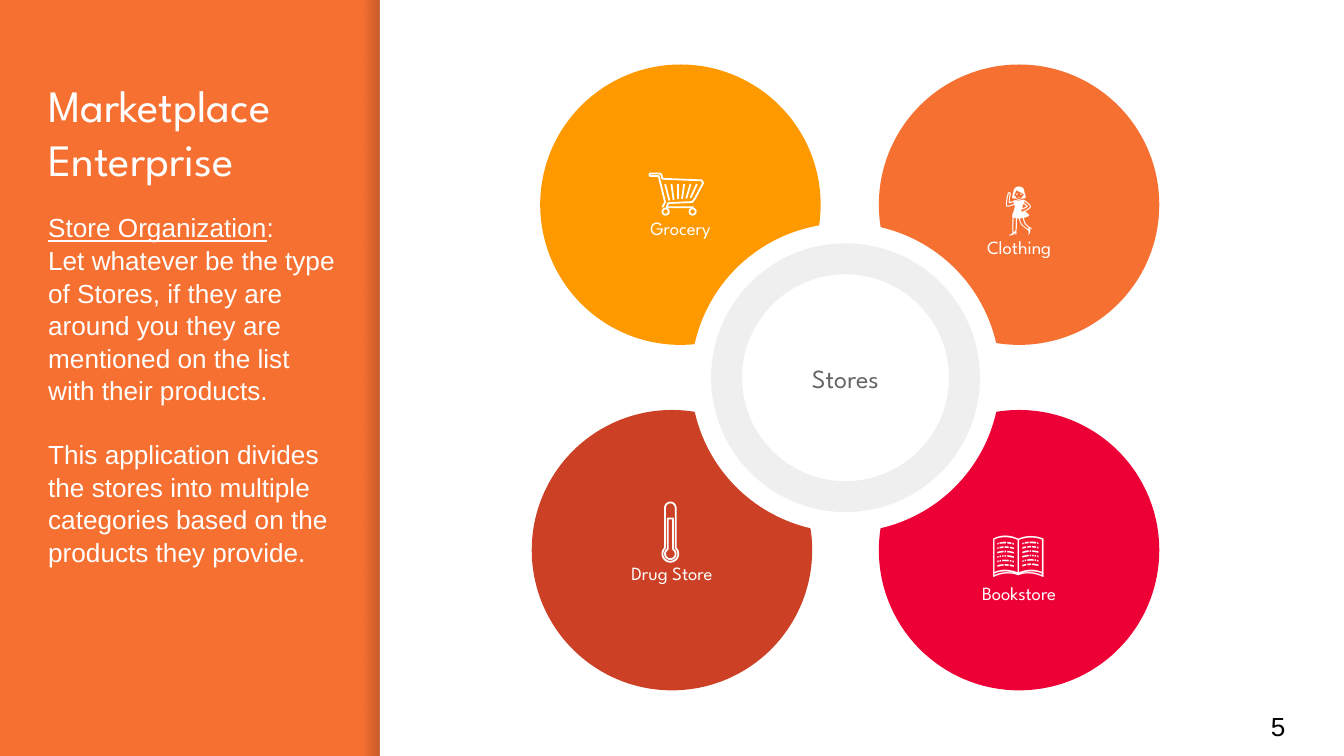
from dataclasses import dataclass
from math import asin, cos, pi, sin

from lxml import etree
from pptx import Presentation
from pptx import util as u
from pptx.dml.color import RGBColor
from pptx.enum import shapes, text
from pptx.oxml.ns import qn

Cm, Pt = u.Cm, u.Pt


@dataclass(frozen=True)
class Theme:
    heading: str = "League Spartan"
    body: str = "Arial"
    orange: str = "F67031"
    amber: str = "FF9900"
    rust: str = "CC4125"
    red: str = "ED0036"
    ring: str = "EFEFEF"
    grey: str = "666666"
    white: str = "FFFFFF"
    black: str = "000000"
    shade: str = "000014"
    title_pt: float = 24
    text_pt: float = 14
    label_pt: float = 10
    emoji_pt: float = 28
    icon_line_pt: float = 0.96


T = Theme()
INSET = 0.25


def rgb(colour):
    return RGBColor.from_string(colour)


def write(p, words, font=T.body, size=T.text_pt, colour=T.white, align=None,
          underline=None, spacing=None, before=0):
    """Append a formatted run to a paragraph."""
    p.alignment = align
    p.line_spacing = spacing
    p.space_before = Pt(before)
    r = p.add_run()
    r.text = words
    r.font.name, r.font.size = font, Pt(size)
    r.font.color.rgb = rgb(colour)
    r.font.underline = underline
    return r


def frame(sp, anchor, top=INSET):
    """Set up a shape's text frame and return it."""
    tf = sp.text_frame
    tf.word_wrap = True
    tf.auto_size = text.MSO_AUTO_SIZE.NONE
    tf.vertical_anchor = anchor
    tf.margin_left = tf.margin_right = tf.margin_bottom = Cm(INSET)
    tf.margin_top = Cm(top)
    return tf


def place(sp, left, top, width, height):
    sp.left, sp.top, sp.width, sp.height = map(Cm, (left, top, width, height))


def shape(s, kind, box, fill=None):
    sp = s.shapes.add_shape(kind, *map(Cm, box))
    sp.shadow.inherit = False
    sp.line.fill.background()
    if fill:
        sp.fill.solid()
        sp.fill.fore_color.rgb = rgb(fill)
    return sp


def stroke(sp):
    """Draw a shape as a thin white outline."""
    sp.line.color.rgb = rgb(T.white)
    sp.line.width = Pt(T.icon_line_pt)
    return sp


def line(s, x1, y1, x2, y2):
    c = stroke(s.shapes.add_connector(shapes.MSO_CONNECTOR.STRAIGHT,
                                      *map(Cm, (x1, y1, x2, y2))))
    etree.SubElement(c.line._get_or_add_ln().getparent(), qn("a:effectLst"))


def outline(s, left, top, points, close):
    pts = [(Cm(left + x), Cm(top + y)) for x, y in points]
    builder = s.shapes.build_freeform(*pts[0])
    builder.add_line_segments(pts[1:], close=close)
    sp = stroke(builder.convert_to_shape())
    sp.fill.background()
    sp.shadow.inherit = False


def sidebar(s, left, top, width, height):
    # Shaded edge: transparent to dark, towards the white panel
    edge = shape(s, shapes.MSO_SHAPE.RECTANGLE,
                 (left + width - 0.32, top, 0.32, height))
    edge.fill.gradient()
    edge.fill.gradient_angle = 0
    for stop, alpha in zip(edge.fill.gradient_stops, (0, 20000)):
        stop.color.rgb = rgb(T.shade)
    for clr, alpha in zip(edge._element.spPr.iter(qn("a:srgbClr")), (0, 20000)):
        etree.SubElement(clr, qn("a:alpha"), val=str(alpha))

    # Title
    title = s.shapes.title
    place(title, left + 0.66, top + 1.22, 5.69, 1.5)
    p = frame(title, text.MSO_ANCHOR.TOP).paragraphs[0]
    fmt = dict(font=T.heading, size=T.title_pt, align=text.PP_ALIGN.LEFT)
    write(p, "Marketplace", **fmt)
    p.add_line_break()
    write(p, "Enterprise", **fmt)

    # Description
    body = s.placeholders[1]
    place(body, left + 0.66, top + 3.73, 6.05, 7.26)
    tf = frame(body, text.MSO_ANCHOR.TOP)
    heading, stores, categories = (tf.paragraphs[0], tf.add_paragraph(),
                                   tf.add_paragraph())
    for p in tf.paragraphs:
        pPr = p._p.get_or_add_pPr()
        pPr.set("marL", "0")
        pPr.set("indent", "0")
        etree.SubElement(pPr, qn("a:buNone"))
    write(heading, "Store Organization", underline=True, spacing=1.04)
    write(heading, ":", underline=False, spacing=1.04)
    write(stores, "Let whatever be the type of Stores, if they are around you "
          "they are mentioned on the list with their products.", spacing=1.04)
    write(categories, "This application divides the stores into multiple "
          "categories based on the products they provide.",
          spacing=1.04, before=16.8)


def cart(s, left, top):
    outline(s, left, top, [
        (0.84, 0.64), (0.33, 0.64), (0.36, 0.56), (0.81, 0.54), (0.86, 0.48),
        (1.02, 0.18), (0.99, 0.13), (0.25, 0.1), (0.23, 0.02), (0.2, 0),
        (0.02, 0), (0, 0.02), (0.02, 0.05), (0.18, 0.05), (0.3, 0.54),
        (0.25, 0.64)], close=False)
    for x in (0.25, 0.76):
        wheel = shape(s, shapes.MSO_SHAPE.OVAL, (left + x, top + 0.66, 0.12, 0.12))
        stroke(wheel).fill.background()
    for i in range(6):
        line(s, left + 0.38 + 0.08 * i, top + 0.51 - 0.01 * i,
             left + 0.3 + 0.12 * i, top + 0.2)


def thermometer(s, left, top):
    mid, bulb_y = 0.15, 0.97

    def arc(y, radius, start, end):
        angles = [start + (end - start) * i / 24 for i in range(25)]
        return [(mid + radius * sin(a), y - radius * cos(a)) for a in angles]

    # Glass and mercury: a tube that opens into a round bulb
    for half, bulb, tip in ((0.1, 0.15, arc(0.1, 0.1, -pi / 2, pi / 2)),
                            (0.05, 0.1, [(mid - 0.05, 0.3), (mid + 0.05, 0.3)])):
        neck = asin(half / bulb)
        outline(s, left, top, tip + arc(bulb_y, bulb, neck, 2 * pi - neck),
                close=True)
    for i in range(6):
        y = top + 0.41 + 0.076 * i
        line(s, left + 0.18, y, left + 0.2, y)


def store(s, left, top, size, name, fill, lead, emoji=None):
    """A store circle; lead lowers the label to leave room for an icon."""
    sp = shape(s, shapes.MSO_SHAPE.OVAL, (left, top, size, size), fill)
    tf = frame(sp, text.MSO_ANCHOR.MIDDLE, top=INSET + lead)
    p = tf.paragraphs[0]
    fmt = dict(font=T.heading, align=text.PP_ALIGN.CENTER)
    if emoji:
        write(p, emoji, size=T.emoji_pt, **fmt)
        p = tf.add_paragraph()
    write(p, name, size=T.label_pt, **fmt)


def diagram(s, left, top, width, height):
    shape(s, shapes.MSO_SHAPE.RECTANGLE, (left, top, width, height), T.white)
    size, upper, lower, right = 5.3, top + 1.22, top + 7.75, left + 9.43

    # Store circles
    store(s, left + 3.03, upper, size, "Grocery", T.amber, 0.87)
    store(s, right, upper, size, "Clothing", T.orange, 0.43, "💃")
    store(s, left + 2.87, lower, size, "Drug Store", T.rust, 0.87)
    store(s, right, lower, size, "Bookstore", T.red, 0.43, "📖")

    # Hub with its ring
    hub = shape(s, shapes.MSO_SHAPE.OVAL,
                (left + 5.88, top + 4.22, 5.84, 5.84), T.white)
    write(frame(hub, text.MSO_ANCHOR.MIDDLE).paragraphs[0], "Stores",
          font=T.heading, colour=T.grey, align=text.PP_ALIGN.CENTER)
    ring = shape(s, shapes.MSO_SHAPE.DONUT,
                 (left + 6.26, top + 4.6, 5.08, 5.08), T.ring)
    ring.adjustments[0] = 0.115

    # Icons
    cart(s, left + 5.09, top + 3.28)
    thermometer(s, left + 5.34, top + 9.5)

    # Page number
    number = s.shapes.add_textbox(*map(Cm, (left + 16.59, top + 13.18, 1.52, 1.09)))
    write(frame(number, text.MSO_ANCHOR.MIDDLE).paragraphs[0], "5", colour=T.black)


def main():
    prs = Presentation()
    prs.slide_width, prs.slide_height = Cm(25.4), Cm(14.29)
    s = prs.slides.add_slide(prs.slide_layouts[1])
    s.background.fill.solid()
    s.background.fill.fore_color.rgb = rgb(T.orange)
    sidebar(s, 0, 0, 7.18, 14.29)
    diagram(s, 7.18, 0, 18.22, 14.29)
    prs.save("out.pptx")


if __name__ == "__main__":
    main()
